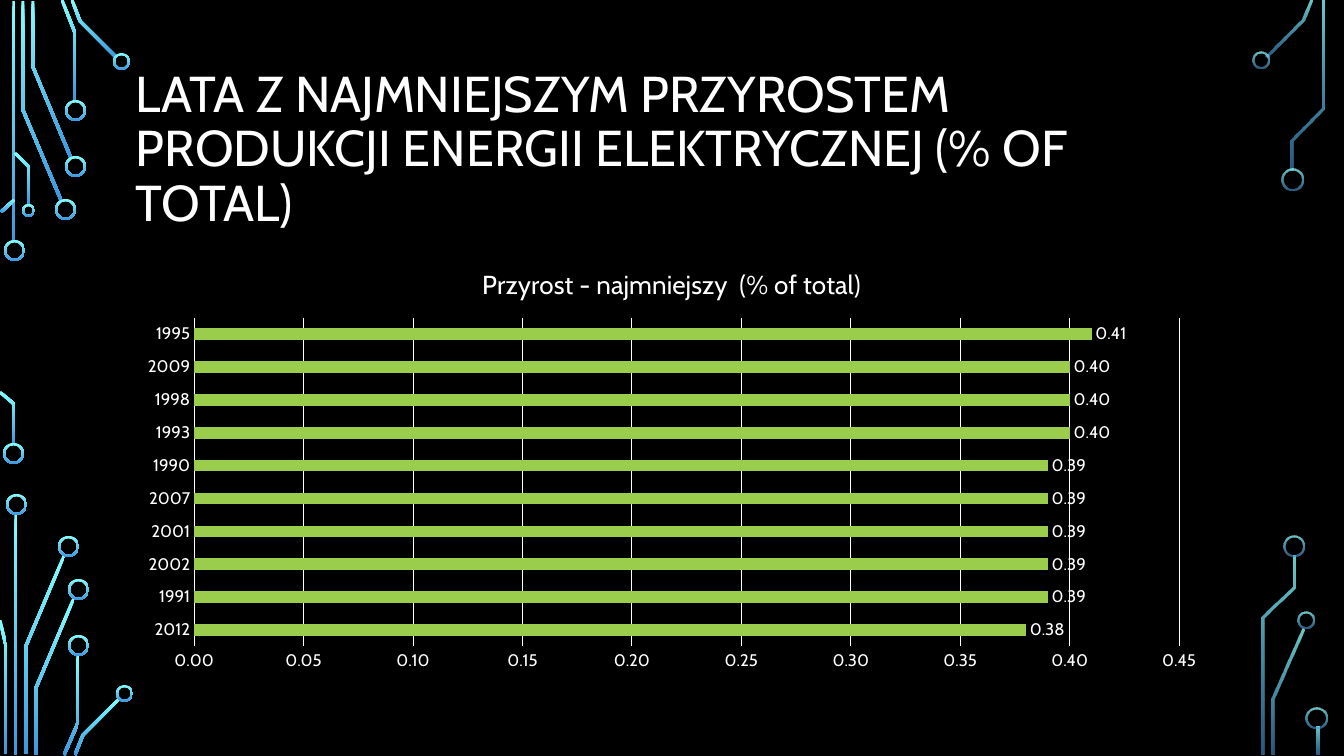
from lxml import etree
from pptx import Presentation
from pptx.chart.data import CategoryChartData
from pptx.dml.color import RGBColor
from pptx.enum.chart import XL_CHART_TYPE, XL_LABEL_POSITION, XL_TICK_MARK
from pptx.enum.shapes import MSO_SHAPE
from pptx.enum.text import MSO_ANCHOR
from pptx.oxml.ns import qn
from pptx.util import Pt

BAR = XL_CHART_TYPE.BAR_CLUSTERED
OUTER = XL_LABEL_POSITION.OUTSIDE_END
NO_TICK = XL_TICK_MARK.NONE
DONUT = MSO_SHAPE.DONUT
MIDDLE = MSO_ANCHOR.MIDDLE

PX = 914400 / 100.8
FONT = "Cabin"
COLORS = {"back": "000000", "text": "FFFFFF", "bar": "9ACD4C", "top": "82FFFF", "low": "3D97DE"}
SOLID = (100, 100)
FADED = (80, 60)
TRACE = 3
RIM = 2

SHARES = {
    "2012": 0.38, "2002": 0.39, "1991": 0.39, "2001": 0.39, "2007": 0.39,
    "1990": 0.39, "1993": 0.40, "1998": 0.40, "2009": 0.40, "1995": 0.41,
}
YEARS = ["2012", "1991", "2002", "2001", "2007", "1990", "1993", "1998", "2009", "1995"]

CORNERS = [
    ((0, 0), SOLID,
     [[(14, 1), (14, 242)], [(23, 1), (23, 110), (61, 200)], [(33, 1), (33, 67), (71, 158)],
      [(62, 0), (75, 33), (75, 101)], [(72, 0), (80, 21), (116, 57)],
      [(1, 212), (14, 200)], [(15, 153), (29, 167), (29, 205)]],
     [(4, 240, 21), (55, 199, 21), (65, 156, 21), (65, 100, 21), (113, 53, 17), (22, 204, 13)]),
    ((0, 392), SOLID,
     [[(0, 0), (14, 12), (14, 52)], [(16, 122), (16, 363)], [(26, 362), (26, 254), (64, 164)],
      [(0, 228), (6, 254), (6, 362)], [(36, 363), (36, 296), (74, 206)],
      [(64, 363), (78, 331), (78, 263)], [(75, 363), (83, 343), (119, 307)]],
     [(3, 51, 21), (6, 102, 21), (58, 144, 21), (68, 187, 21), (68, 243, 21), (116, 293, 17)]),
    ((1253, 0), FADED,
     [[(58, 0), (50, 20), (14, 56)], [(39, 170), (39, 140), (70, 108), (70, 1)]],
     [(0, 52, 17), (29, 169, 21)]),
    ((1253, 536), FADED,
     [[(20, 219), (20, 163), (50, 93)], [(10, 219), (10, 82), (41, 52), (41, 20)],
      [(65, 191), (65, 219)]],
     [(45, 76, 17), (30, 0, 21), (53, 172, 21)]),
]


def px(size):
    """Turn px into EMU."""
    return round(size * PX)


def rgb(name):
    """Look up a colour by name."""
    return RGBColor.from_string(COLORS[name])


def style(font, size):
    """Set face, size and colour of a font."""
    font.name = FONT
    font.size = Pt(size)
    font.bold = False
    font.color.rgb = rgb("text")


def glow(shape, alphas):
    """Fill a shape from light at the top to deep blue at the foot."""
    shape.shadow.inherit = False
    shape.line.fill.background()
    fill = shape.fill
    fill.gradient()
    fill.gradient_angle = 270
    for stop, name, place in zip(fill.gradient_stops, ("top", "low"), (0, 1)):
        stop.color.rgb = rgb(name)
        stop.position = place
    for color, alpha in zip(shape.element.spPr.iter(qn("a:srgbClr")), alphas):
        if alpha < 100:
            etree.SubElement(color, qn("a:alpha")).set("val", str(alpha * 1000))


def ribbon(points):
    """Give the outline of a band that runs along the points."""
    spots = [complex(*point) for point in points]
    sides = [(b - a) / abs(b - a) * 1j for a, b in zip(spots, spots[1:])]
    joins = zip(sides[:1] + sides, sides + sides[-1:])
    shifts = [(a + b) / (1 + (a * b.conjugate()).real) * TRACE / 2 for a, b in joins]
    left = [spot + shift for spot, shift in zip(spots, shifts)]
    right = [spot - shift for spot, shift in zip(spots, shifts)]
    return left + right[::-1]


def corner(slide, origin, alphas, traces, rings):
    """Draw one cluster of circuit traces and rings from its origin."""
    x, y = origin
    for trace in traces:
        edge = [(px(x + p.real), px(y + p.imag)) for p in ribbon(trace)]
        path = slide.shapes.build_freeform(*edge[0])
        path.add_line_segments(edge[1:], close=True)
        glow(path.convert_to_shape(), alphas)
    for left, top, size in rings:
        ring = slide.shapes.add_shape(DONUT, px(x + left), px(y + top), px(size), px(size))
        ring.adjustments[0] = RIM / size
        glow(ring, alphas)


def heading(slide, box):
    """Place the slide title in its box."""
    frame = slide.shapes.add_textbox(*map(px, box)).text_frame
    frame.word_wrap = True
    frame.vertical_anchor = MIDDLE
    para = frame.paragraphs[0]
    para.text = "LATA Z NAJMNIEJSZYM PRZYROSTEM PRODUKCJI ENERGII ELEKTRYCZNEJ (% OF TOTAL)"
    para.line_spacing = 0.9
    style(para.font, 36)


def graph(slide, box):
    """Place the bar chart in its box."""
    data = CategoryChartData(number_format="0.00")
    data.categories = YEARS
    data.add_series("Series 1", [SHARES[year] for year in YEARS])
    chart = slide.shapes.add_chart(BAR, *map(px, box), data).chart
    style(chart.font, 10)
    chart.has_legend = False
    chart.has_title = True
    para = chart.chart_title.text_frame.paragraphs[0]
    para.text = "Przyrost - najmniejszy  (% of total)"
    style(para.font, 18.62)

    years, scale = chart.category_axis, chart.value_axis
    for axis in (years, scale):
        axis.major_tick_mark = axis.minor_tick_mark = NO_TICK
        style(axis.tick_labels.font, 11.97)
    scale.minimum_scale, scale.maximum_scale, scale.major_unit = 0, 0.45, 0.05
    scale.tick_labels.number_format = "0.00"
    scale.tick_labels.number_format_is_linked = False
    scale.format.line.fill.background()
    for line in (years.format.line, scale.major_gridlines.format.line):
        line.color.rgb = rgb("text")
        line.width = Pt(0.75)

    plot = chart.plots[0]
    plot.gap_width = 182
    plot.vary_by_categories = False
    bars = plot.series[0]
    bars.format.fill.solid()
    bars.format.fill.fore_color.rgb = rgb("bar")
    labels = bars.data_labels
    labels.show_value = True
    labels.position = OUTER
    labels.number_format = "0.00"
    labels.number_format_is_linked = False
    style(labels.font, 11.97)


def main():
    """Build the slide and save it."""
    deck = Presentation()
    deck.slide_width, deck.slide_height = px(1344), px(756)
    slide = deck.slides.add_slide(deck.slide_layouts[6])
    slide.background.fill.solid()
    slide.background.fill.fore_color.rgb = rgb("back")
    for part in CORNERS:
        corner(slide, *part)
    heading(slide, (126, 69, 1092, 163))
    graph(slide, (126, 248, 1092, 431))
    deck.save("out.pptx")


if __name__ == "__main__":
    main()
